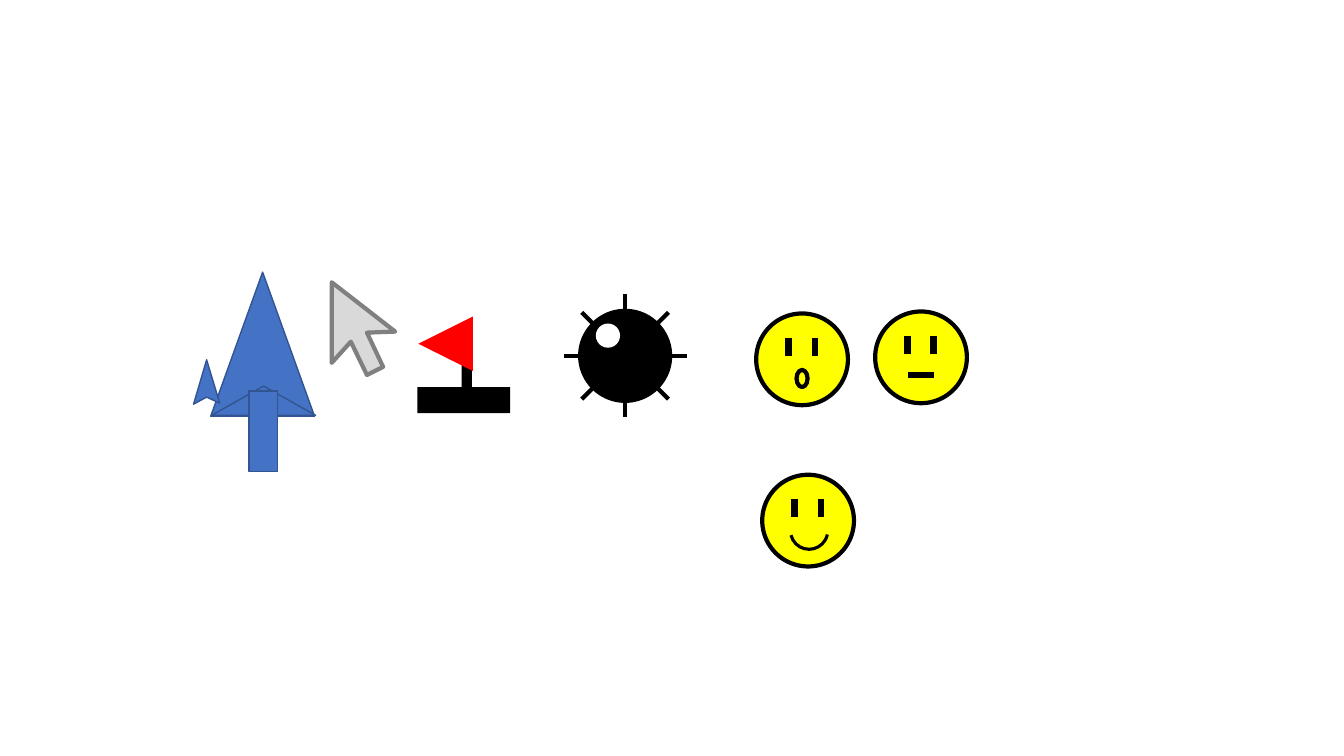
from dataclasses import dataclass
from itertools import product

from lxml import etree
from pptx import Presentation
from pptx.dml.color import RGBColor
from pptx.enum.shapes import MSO_CONNECTOR, MSO_SHAPE
from pptx.oxml.ns import qn
from pptx.util import Inches, Pt

ELLIPSE = MSO_SHAPE.OVAL
RECTANGLE = MSO_SHAPE.RECTANGLE
TRIANGLE = MSO_SHAPE.ISOSCELES_TRIANGLE
ARC = MSO_SHAPE.ARC
STRAIGHT = MSO_CONNECTOR.STRAIGHT
ADJUSTMENT_PER_DEGREE = 0.6


@dataclass(frozen=True)
class Theme:
    black: str = "000000"
    white: str = "FFFFFF"
    red: str = "FF0000"
    yellow: str = "FFFF00"
    blue: str = "4472C4"
    blue_edge: str = "325491"
    pointer: str = "D9D9D9"
    pointer_edge: str = "808080"
    thin: float = 1
    smile: float = 2.25
    medium: float = 3
    thick: float = 4.5


class Canvas:
    def __init__(self, page, theme):
        self.page = page
        self.theme = theme
        self.target = page.shapes

    def start_group(self):
        self.target = self.page.shapes.add_group_shape().shapes

    def end_group(self):
        self.target = self.page.shapes

    def paint(self, item, fill, line, width):
        item.shadow.inherit = False
        if fill:
            item.fill.solid()
            item.fill.fore_color.rgb = RGBColor.from_string(fill)
        else:
            item.fill.background()
        if line:
            item.line.color.rgb = RGBColor.from_string(line)
            item.line.width = Pt(width)
        else:
            item.line.fill.background()
        return item

    def shape(self, kind, left, top, width, height, fill=None, line=None, weight=1, rotation=0):
        item = self.target.add_shape(kind, Inches(left), Inches(top), Inches(width), Inches(height))
        item.rotation = rotation
        return self.paint(item, fill, line, weight)

    def outline(self, points, fill, line, weight):
        corners = [(Inches(x), Inches(y)) for x, y in points]
        builder = self.target.build_freeform(*corners[0])
        builder.add_line_segments(corners[1:], close=True)
        return self.paint(builder.convert_to_shape(), fill, line, weight)

    def line(self, start, end, weight):
        item = self.target.add_connector(STRAIGHT, *map(Inches, (*start, *end)))
        item.line.color.rgb = RGBColor.from_string(self.theme.black)
        item.line.width = Pt(weight)
        etree.SubElement(item._element.spPr, qn("a:effectLst"))

    def arc(self, left, top, size, start, end, weight):
        item = self.shape(ARC, left, top, size, size, line=self.theme.black, weight=weight)
        item.adjustments[0] = start * ADJUSTMENT_PER_DEGREE
        item.adjustments[1] = end * ADJUSTMENT_PER_DEGREE


def draw_mine(canvas, x, y):
    theme = canvas.theme
    canvas.start_group()
    canvas.shape(ELLIPSE, x - 0.46, y - 0.46, 0.92, 0.92, theme.black, theme.black, theme.thin)
    for dx, dy in ((0.61, 0), (0, 0.61), (0.43, 0.43), (0.43, -0.43)):
        canvas.line((x - dx, y - dy), (x + dx, y + dy), theme.medium)
    canvas.shape(ELLIPSE, x - 0.29, y - 0.32, 0.24, 0.24, theme.white)
    canvas.end_group()


def draw_flag(canvas):
    theme = canvas.theme
    canvas.shape(RECTANGLE, 4.14, 3.84, 0.92, 0.26, theme.black)
    canvas.shape(RECTANGLE, 4.58, 3.51, 0.1, 0.54, theme.black)
    canvas.shape(TRIANGLE, 4.15, 3.14, 0.54, 0.54, theme.red, rotation=270)


def draw_face(canvas, left, top, mouth):
    theme = canvas.theme
    canvas.start_group()
    canvas.shape(ELLIPSE, left, top, 0.91, 0.91, theme.yellow, theme.black, theme.medium)
    for eye in (left + 0.32, left + 0.58):
        canvas.line((eye, top + 0.24), (eye, top + 0.42), theme.thick)
    mouth(canvas, left, top)
    canvas.end_group()


def surprised_mouth(canvas, left, top):
    theme = canvas.theme
    canvas.shape(ELLIPSE, left + 0.4, top + 0.56, 0.11, 0.17, line=theme.black, weight=theme.medium)


def neutral_mouth(canvas, left, top):
    canvas.line((left + 0.58, top + 0.63), (left + 0.33, top + 0.63), canvas.theme.thick)


def smiling_mouth(canvas, left, top):
    canvas.arc(left + 0.28, top + 0.37, 0.37, 12, 166, canvas.theme.smile)


def draw_arrow_tree(canvas):
    theme = canvas.theme
    style = (theme.blue, theme.blue_edge, theme.thin)
    arrowhead = [(2.05, 3.57), (1.92, 4.01), (2.05, 3.94), (2.18, 4)]
    canvas.shape(TRIANGLE, 2.09, 2.7, 1.03, 1.43, *style)
    canvas.shape(TRIANGLE, 2.1, 3.83, 1.03, 0.29, *style)
    canvas.outline(arrowhead, *style)
    canvas.shape(RECTANGLE, 2.47, 3.88, 0.28, 0.8, *style)


def draw_pointer(canvas):
    theme = canvas.theme
    corners = [(3.48, 3.39), (3.64, 3.72), (3.8, 3.64), (3.64, 3.3), (3.92, 3.29), (3.29, 2.8), (3.29, 3.6)]
    canvas.outline(corners, theme.pointer, theme.pointer_edge, theme.medium)


deck = Presentation()
deck.slide_width = Inches(13.33)
deck.slide_height = Inches(7.5)
page = deck.slides.add_slide(deck.slide_layouts[6])
canvas = Canvas(page, Theme())

draw_mine(canvas, 6.2, 3.53)
draw_flag(canvas)
draw_face(canvas, 7.5, 3.11, surprised_mouth)
draw_face(canvas, 8.68, 3.09, neutral_mouth)
draw_arrow_tree(canvas)
draw_pointer(canvas)
draw_face(canvas, 7.56, 4.71, smiling_mouth)

deck.save("out.pptx")
